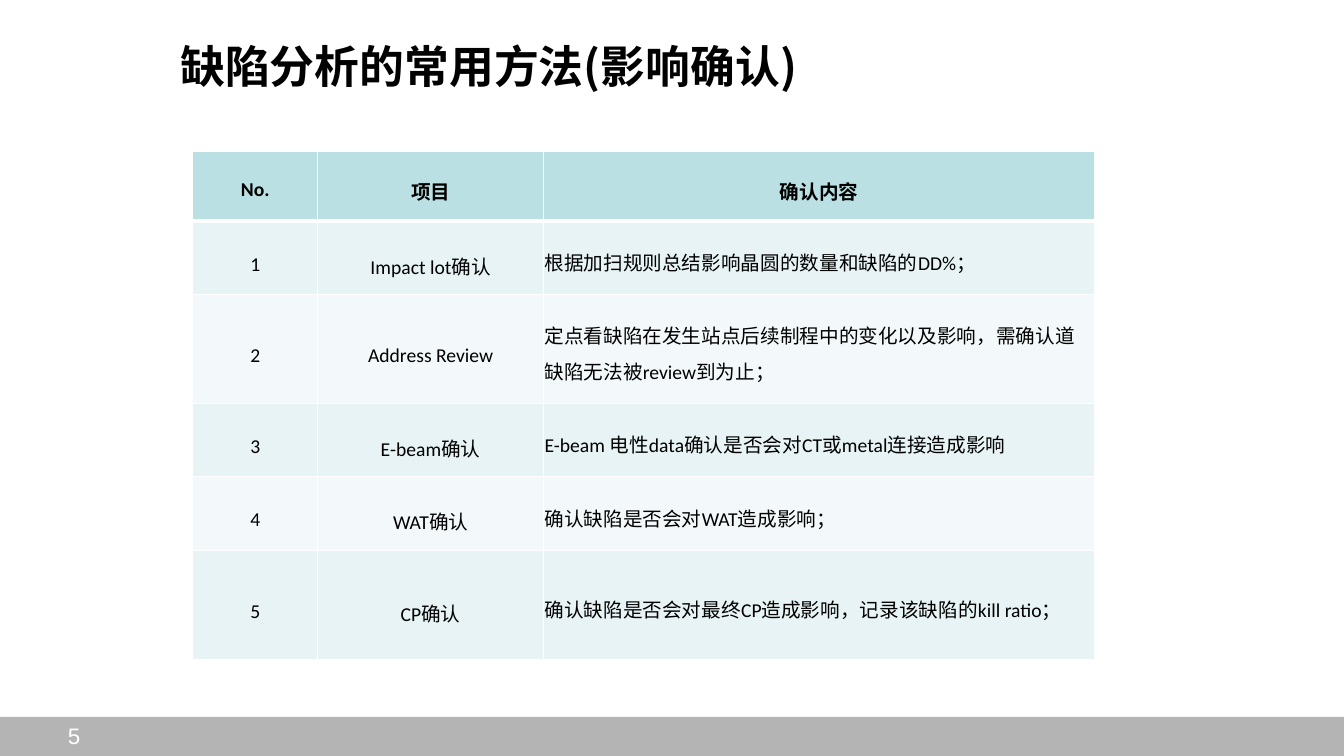
from lxml.etree import SubElement as Sub
from pptx import Presentation
from pptx.dml.color import RGBColor as RGB
from pptx.enum.shapes import MSO_SHAPE as SHAPE
from pptx.enum.text import MSO_ANCHOR as ANCHOR, PP_ALIGN as ALIGN
from pptx.oxml.ns import qn
from pptx.util import Pt

COLORS = {
    "text": "000000",
    "white": "FFFFFF",
    "footer": "B4B4B4",
    "header": "BBE0E3",
    "odd": "E7F3F4",
    "even": "F3F9FA",
}
CJK = "Noto Sans CJK SC"
COL_WIDTHS = [89.3, 161.3, 393.8]
ROW_HEIGHTS = [49.7, 52.6, 77.4, 52.6, 52.6, 78.1]
HEADINGS = ["No.", "项目", "确认内容"]
CHECKS = [
    ("Impact lot确认", "根据加扫规则总结影响晶圆的数量和缺陷的DD%；"),
    ("Address Review", "定点看缺陷在发生站点后续制程中的变化以及影响，需确认道缺陷无法被review到为止；"),
    ("E-beam确认", "E-beam 电性data确认是否会对CT或metal连接造成影响"),
    ("WAT确认", "确认缺陷是否会对WAT造成影响；"),
    ("CP确认", "确认缺陷是否会对最终CP造成影响，记录该缺陷的kill ratio；"),
]


def rgb(name):
    return RGB.from_string(COLORS[name])


def write(tf, text, size=14, font="Calibri", color="text", bold=False,
          align=ALIGN.LEFT, spacing=1.0):
    tf.word_wrap = True
    p = tf.paragraphs[0]
    p.alignment = align
    p.line_spacing = spacing
    r = p.add_run()
    r.text = text
    r.font.size = Pt(size)
    r.font.bold = bold
    r.font.name = font
    r.font.color.rgb = rgb(color)
    Sub(r.font._element, qn("a:ea"), typeface=CJK)


def add_text(s, text, x, y, w, h, anchor=ANCHOR.TOP, **fmt):
    tf = s.shapes.add_textbox(Pt(x), Pt(y), Pt(w), Pt(h)).text_frame
    tf.vertical_anchor = anchor
    write(tf, text, **fmt)


def add_bar(s, x, y, w, h, color):
    sp = s.shapes.add_shape(SHAPE.RECTANGLE, Pt(x), Pt(y), Pt(w), Pt(h))
    sp.shadow.inherit = False
    sp.fill.solid()
    sp.fill.fore_color.rgb = rgb(color)
    sp.line.fill.background()


def add_borders(cell, widths):
    tcPr = cell._tc.get_or_add_tcPr()
    for side, width in widths.items():
        ln = Sub(tcPr, qn(f"a:ln{side}"), w=str(Pt(width)))
        Sub(Sub(ln, qn("a:solidFill")), qn("a:srgbClr"), val=COLORS["white"])


def style_cell(cell, row):
    cell.vertical_anchor = ANCHOR.MIDDLE
    cell.margin_left = cell.margin_right = cell.margin_top = Pt(0.7)
    cell.margin_bottom = 0
    add_borders(cell, {"L": 1, "R": 1, "T": 3 if row == 1 else 1,
                       "B": 3 if row == 0 else 1})
    cell.fill.solid()
    cell.fill.fore_color.rgb = rgb(
        "header" if row == 0 else "odd" if row % 2 else "even")


def add_check_table(s, x, y):
    rows = [HEADINGS] + [(str(n), *check) for n, check in enumerate(CHECKS, 1)]
    table = s.shapes.add_table(
        len(rows), len(HEADINGS), Pt(x), Pt(y),
        Pt(sum(COL_WIDTHS)), Pt(sum(ROW_HEIGHTS))).table
    for col, width in zip(table.columns, COL_WIDTHS):
        col.width = Pt(width)
    for row, height in zip(table.rows, ROW_HEIGHTS):
        row.height = Pt(height)
    for i, texts in enumerate(rows):
        for j, text in enumerate(texts):
            cell = table.cell(i, j)
            style_cell(cell, i)
            write(cell.text_frame, text, bold=i == 0,
                  align=ALIGN.CENTER if i == 0 or j < 2 else ALIGN.LEFT,
                  spacing=1.25 if i == 0 or j == 2 else 1.5)


def main():
    prs = Presentation()
    prs.slide_width, prs.slide_height = Pt(960), Pt(540)
    s = prs.slides.add_slide(prs.slide_layouts[6])
    add_bar(s, 0, 512, 960, 28, "footer")
    add_text(s, "5", 0, 512, 106, 15, size=16, font="Arial", color="white",
             align=ALIGN.CENTER)
    add_check_table(s, 137.7, 108.3)
    add_text(s, "缺陷分析的常用方法(影响确认)", 121.7, 8, 794, 78,
             anchor=ANCHOR.MIDDLE, size=32, font=CJK, bold=True)
    prs.save("out.pptx")


if __name__ == "__main__":
    main()
